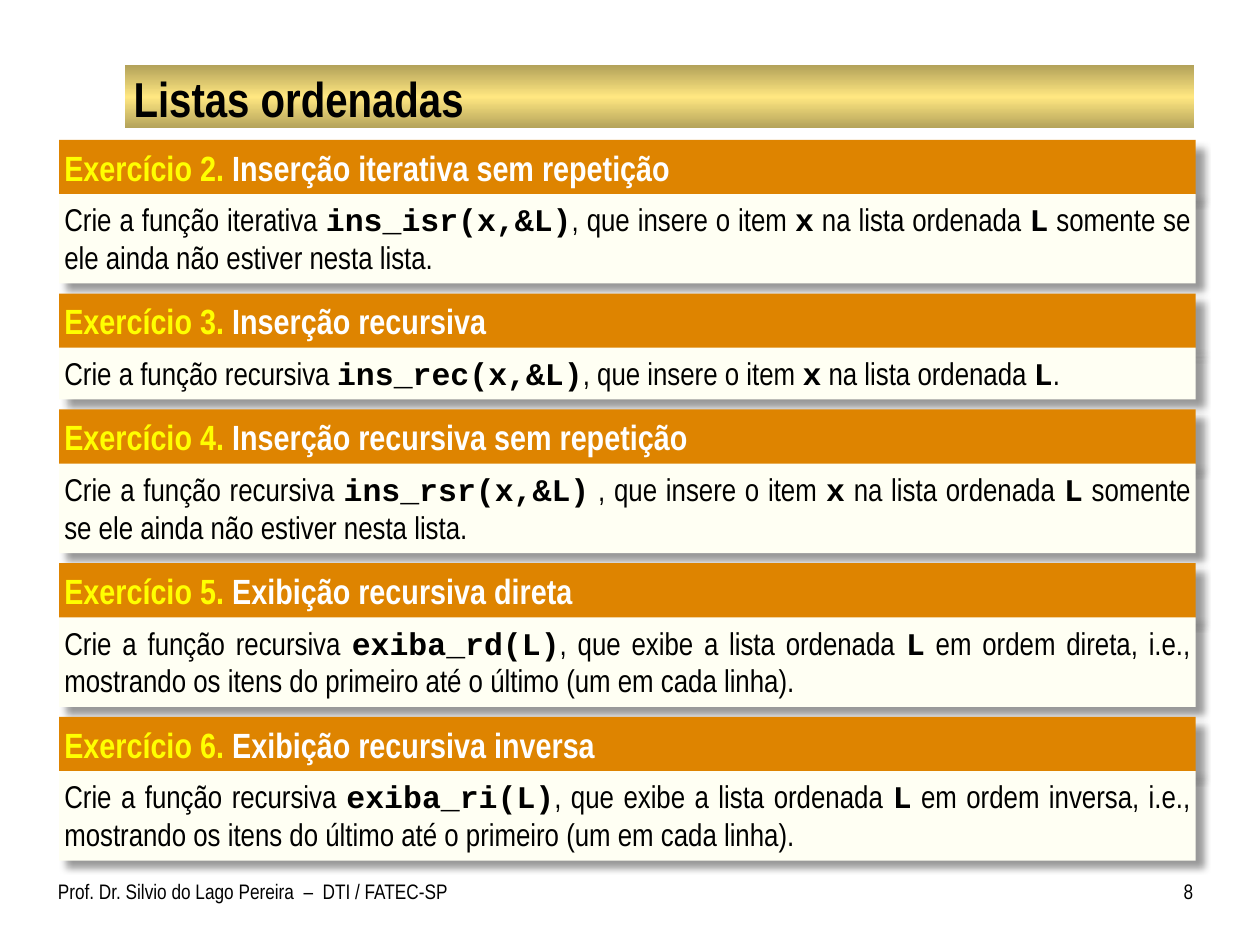
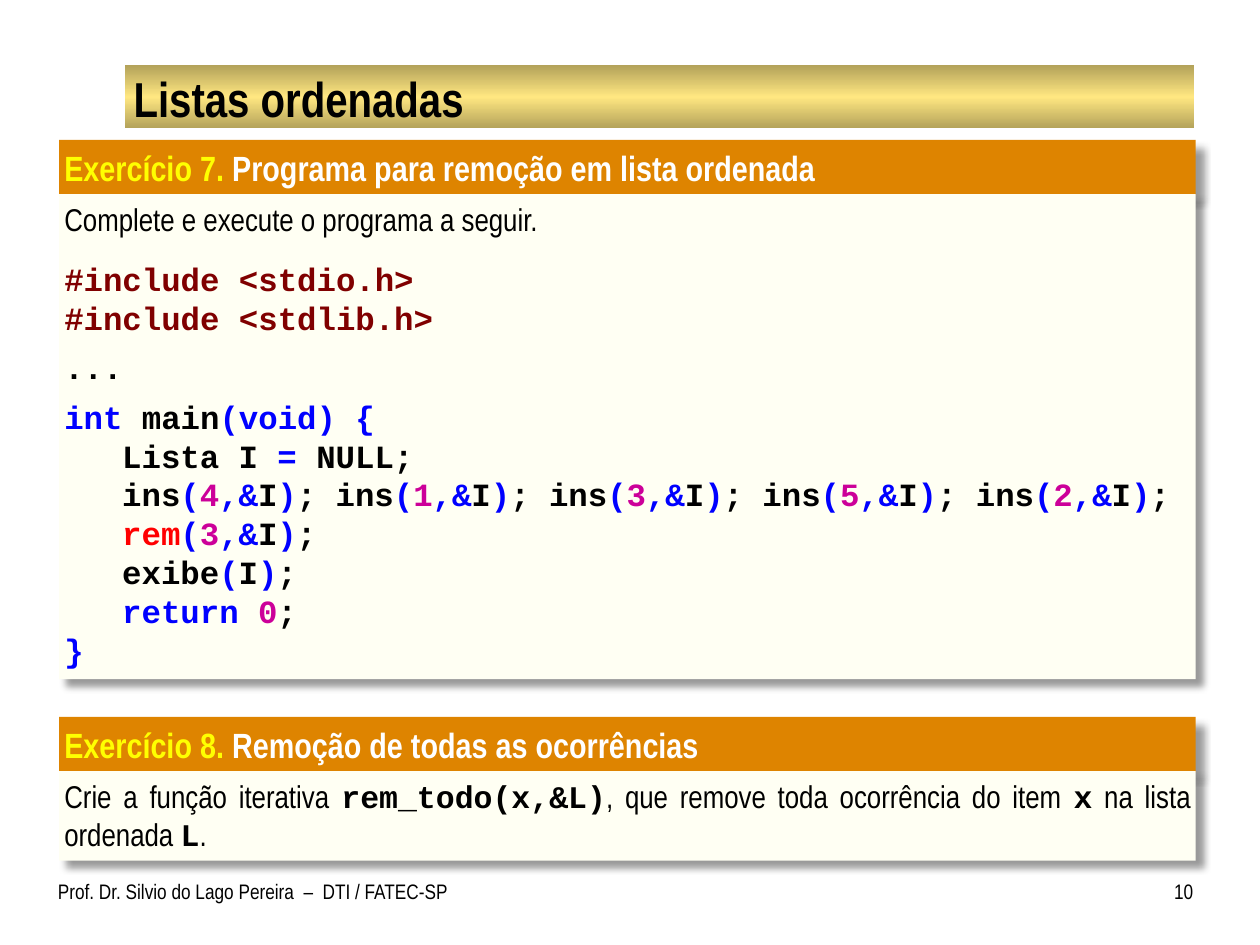
from itertools import groupby

from lxml.etree import SubElement
from pptx import Presentation
from pptx.dml.color import RGBColor
from pptx.enum.shapes import MSO_SHAPE
from pptx.enum.text import MSO_ANCHOR, MSO_AUTO_SIZE, PP_ALIGN
from pptx.oxml import parse_xml
from pptx.oxml.ns import nsdecls, qn
from pptx.util import Inches, Pt

SANS, MONO = "Arial Narrow", "Courier New"
BLACK, WHITE, YELLOW = "000000", "FFFFFF", "FFFF00"
ORANGE, IVORY = "DE8400", "FFFFF3"
GOLD_EDGE, GOLD_CENTRE = "B3A25A", "FFE781"
BLUE, MAGENTA, RED, MAROON = "0000FF", "CC0099", "FF0000", "800000"

PANEL_LEFT, PANEL_WIDTH, PANEL_TOP = 0.47, 9.02, 1.11
HEADING_HEIGHT, HEADING_STEP = 0.44, 0.43
ONE_LINE, TWO_LINES = 0.41, 0.71
CODE_SIZE = 18.5
CODE_INDENT = 0.46
SIGNS = "=(){},&"
WORD_COLOURS = {"int": BLUE, "void": BLUE, "return": BLUE, "rem": RED}

FIRST_EXERCISES = [
    ("Exercício 2.", "Inserção iterativa sem repetição", TWO_LINES,
     "Crie a função iterativa `ins_isr(x,&L)`, que insere o item `x` na lista ordenada `L` "
     "somente se ele ainda não estiver nesta lista.", []),
    ("Exercício 3.", "Inserção recursiva", ONE_LINE,
     "Crie a função recursiva `ins_rec(x,&L)`, que insere o item `x` na lista ordenada `L`.", []),
    ("Exercício 4.", "Inserção recursiva sem repetição", TWO_LINES,
     "Crie a função recursiva `ins_rsr(x,&L)` , que insere o item `x` na lista ordenada `L` "
     "somente se ele ainda não estiver nesta lista.", []),
    ("Exercício 5.", "Exibição recursiva direta", TWO_LINES,
     "Crie a função recursiva `exiba_rd(L)`, que exibe a lista ordenada `L` em ordem direta, "
     "i.e., mostrando os itens do primeiro até o último (um em cada linha).", []),
    ("Exercício 6.", "Exibição recursiva inversa", TWO_LINES,
     "Crie a função recursiva `exiba_ri(L)`, que exibe a lista ordenada `L` em ordem inversa, "
     "i.e., mostrando os itens do último até o primeiro (um em cada linha).", []),
]

PROGRAM = [
    (0, "#include <stdio.h>", {"space_before": Pt(12)}),
    (0, "#include <stdlib.h>", {}),
    (0, "...", {"space_before": Pt(6), "space_after": Pt(6)}),
    (0, "int main(void) {", {}),
    (1, "Lista I = NULL;", {}),
    (1, "ins(4,&I); ins(1,&I); ins(3,&I); ins(5,&I); ins(2,&I);", {}),
    (1, "rem(3,&I);", {}),
    (1, "exibe(I);", {}),
    (1, "return 0;", {}),
    (0, "}", {}),
]

LAST_EXERCISES = [
    ("Exercício 7.", "Programa para remoção em lista ordenada", 3.85,
     "Complete e execute o programa a seguir.", PROGRAM),
    ("Exercício 8.", "Remoção de todas as ocorrências", TWO_LINES,
     "Crie a função iterativa `rem_todo(x,&L)`, que remove toda ocorrência do item `x` "
     "na lista ordenada `L`.", []),
]


def colour(value):
    return RGBColor.from_string(value)


def set_values(target, values):
    for name, value in values.items():
        setattr(target, name, value)


def format_frame(frame, left, right, edge=0.05, **values):
    set_values(frame, {
        "margin_left": Inches(left), "margin_right": Inches(right),
        "margin_top": Inches(edge), "margin_bottom": Inches(edge),
        "vertical_anchor": MSO_ANCHOR.TOP, "word_wrap": True, **values})


def add_span(para, text, size, tint=BLACK, bold=False, font=SANS):
    span = para.add_run()
    span.text = text
    set_values(span.font, {"size": Pt(size), "name": font, "bold": bold})
    span.font.color.rgb = colour(tint)


def add_shadow(shape):
    shape.shadow.inherit = False
    effects = shape.element.spPr.find(qn("a:effectLst"))
    shadow = SubElement(effects, qn("a:outerShdw"), blurRad=str(Pt(4)), dist=str(Pt(6)),
                        dir="2700000", algn="tl", rotWithShape="0")
    tint = SubElement(shadow, qn("a:srgbClr"), val=BLACK)
    SubElement(tint, qn("a:alpha"), val="40000")


def add_panel(page, box, fill, right_margin):
    panel = page.shapes.add_shape(MSO_SHAPE.RECTANGLE, *map(Inches, box))
    panel.fill.solid()
    panel.fill.fore_color.rgb = colour(fill)
    panel.line.fill.background()
    add_shadow(panel)
    format_frame(panel.text_frame, 0.04, right_margin, auto_size=MSO_AUTO_SIZE.SHAPE_TO_FIT_TEXT)
    para = panel.text_frame.paragraphs[0]
    para.alignment = PP_ALIGN.LEFT
    return panel.text_frame, para


def char_kind(char):
    if char.isalnum():
        return "word"
    return "sign" if char in SIGNS else "plain"


def token_colour(kind, token):
    if kind == "sign":
        return BLUE
    return MAGENTA if token.isdigit() else WORD_COLOURS.get(token, BLACK)


def add_code_line(frame, level, text, spacing):
    para = frame.add_paragraph()
    set_values(para, {"alignment": PP_ALIGN.LEFT, **spacing})
    if level:
        para._p.get_or_add_pPr().set("marL", str(Inches(level * CODE_INDENT)))
    if text.startswith("#"):
        add_span(para, text, CODE_SIZE, MAROON, True, MONO)
        return
    for kind, chars in groupby(text, char_kind):
        token = "".join(chars)
        add_span(para, token, CODE_SIZE, token_colour(kind, token), True, MONO)


def add_exercise(page, left, top, width, exercise):
    label, heading, height, statement, program = exercise
    _, para = add_panel(page, (left, top, width, HEADING_HEIGHT), ORANGE, 0.1)
    add_span(para, label, 20, YELLOW, True)
    add_span(para, " " + heading, 20, WHITE, True)
    frame, para = add_panel(page, (left, top + HEADING_STEP, width, height), IVORY, 0.04)
    para.alignment = PP_ALIGN.JUSTIFY
    for position, text in enumerate(statement.split("`")):
        is_code = position % 2 == 1
        add_span(para, text, 18, BLACK, is_code, MONO if is_code else SANS)
    for line in program:
        add_code_line(frame, *line)
    return top + HEADING_STEP + height


def add_title_band(page, layout):
    band = page.shapes.add_shape(MSO_SHAPE.RECTANGLE, *map(Inches, (0.99, 0.52, 8.49, 0.5)))
    band.line.fill.background()
    band.shadow.inherit = False
    stops = "".join(f'<a:gs pos="{place}"><a:srgbClr val="{tint}"/></a:gs>' for place, tint in
                    ((0, GOLD_EDGE), (50000, GOLD_CENTRE), (100000, GOLD_EDGE)))
    gradient = parse_xml(f'<a:gradFill {nsdecls("a")} rotWithShape="1"><a:gsLst>{stops}</a:gsLst>'
                         '<a:lin ang="5400000" scaled="0"/></a:gradFill>')
    band.element.spPr.find(qn("a:prstGeom")).addnext(gradient)
    layout.shapes.element.insert(2, band.element)


def add_title(page, text):
    title = page.shapes.title
    set_values(title, dict(zip(("left", "top", "width", "height"),
                               map(Inches, (1, 0.54, 8.47, 0.47)))))
    format_frame(title.text_frame, 0.06, 0.06, 0.01, vertical_anchor=MSO_ANCHOR.MIDDLE,
                 auto_size=MSO_AUTO_SIZE.NONE)
    para = title.text_frame.paragraphs[0]
    para.alignment = PP_ALIGN.LEFT
    add_span(para, text, 28, BLACK, True)


def add_footer(page, number):
    for left, width, margins, align, text in (
            (0.46, 3.27, (0, 0.1), PP_ALIGN.LEFT,
             "Prof. Dr. Silvio do Lago Pereira  –  DTI / FATEC-SP"),
            (9.08, 0.39, (0.1, 0), PP_ALIGN.RIGHT, str(number))):
        box = page.shapes.add_textbox(*map(Inches, (left, 6.92, width, 0.42)))
        format_frame(box.text_frame, *margins)
        para = box.text_frame.paragraphs[0]
        para.alignment = align
        add_span(para, text, 12)


def add_exercise_page(deck, layout, number, exercises, gap):
    page = deck.slides.add_slide(layout)
    add_title(page, "Listas ordenadas")
    top = PANEL_TOP
    for exercise in exercises:
        top = add_exercise(page, PANEL_LEFT, top, PANEL_WIDTH, exercise) + gap
    add_footer(page, number)
    return page


def main():
    deck = Presentation()
    deck.slide_width, deck.slide_height = Inches(10), Inches(7.5)
    layout = deck.slide_layouts[5]
    page = add_exercise_page(deck, layout, 8, FIRST_EXERCISES, 0.08)
    add_title_band(page, layout)
    add_exercise_page(deck, layout, 10, LAST_EXERCISES, 0.3)
    deck.save("out.pptx")


if __name__ == "__main__":
    main()
